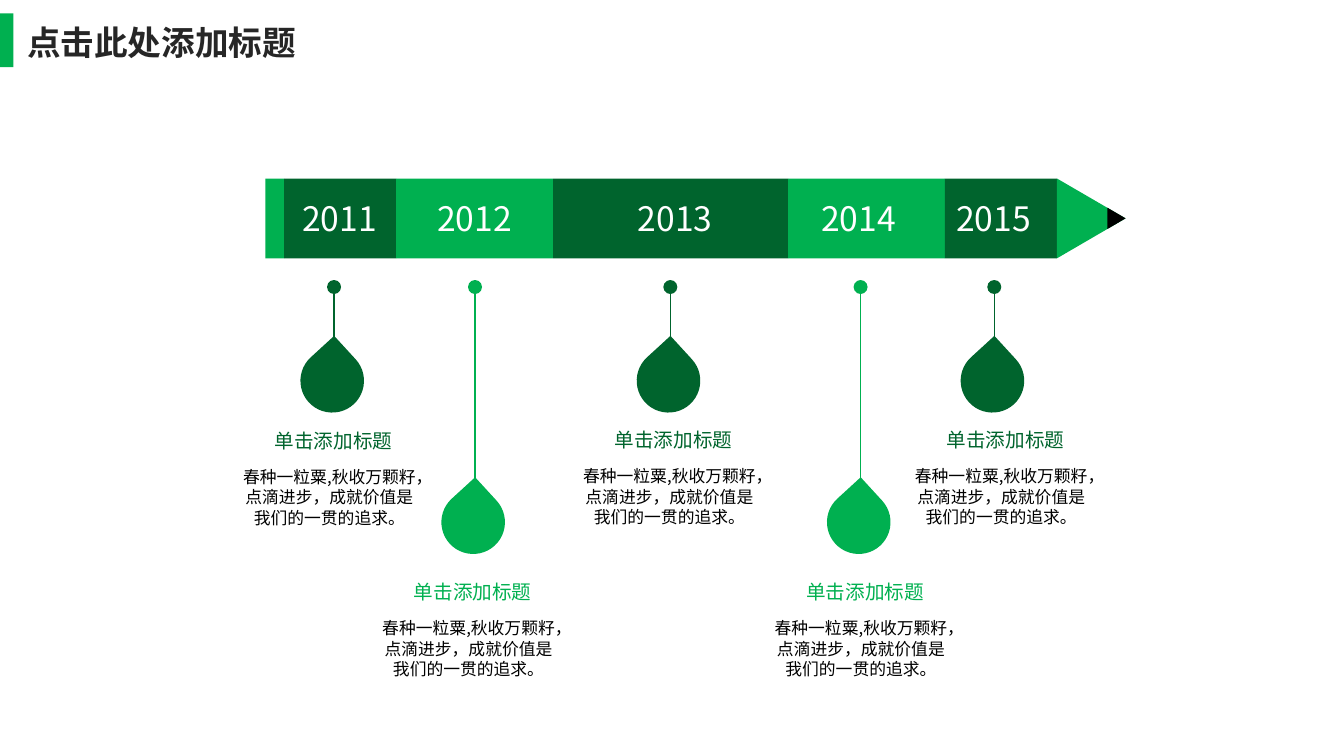
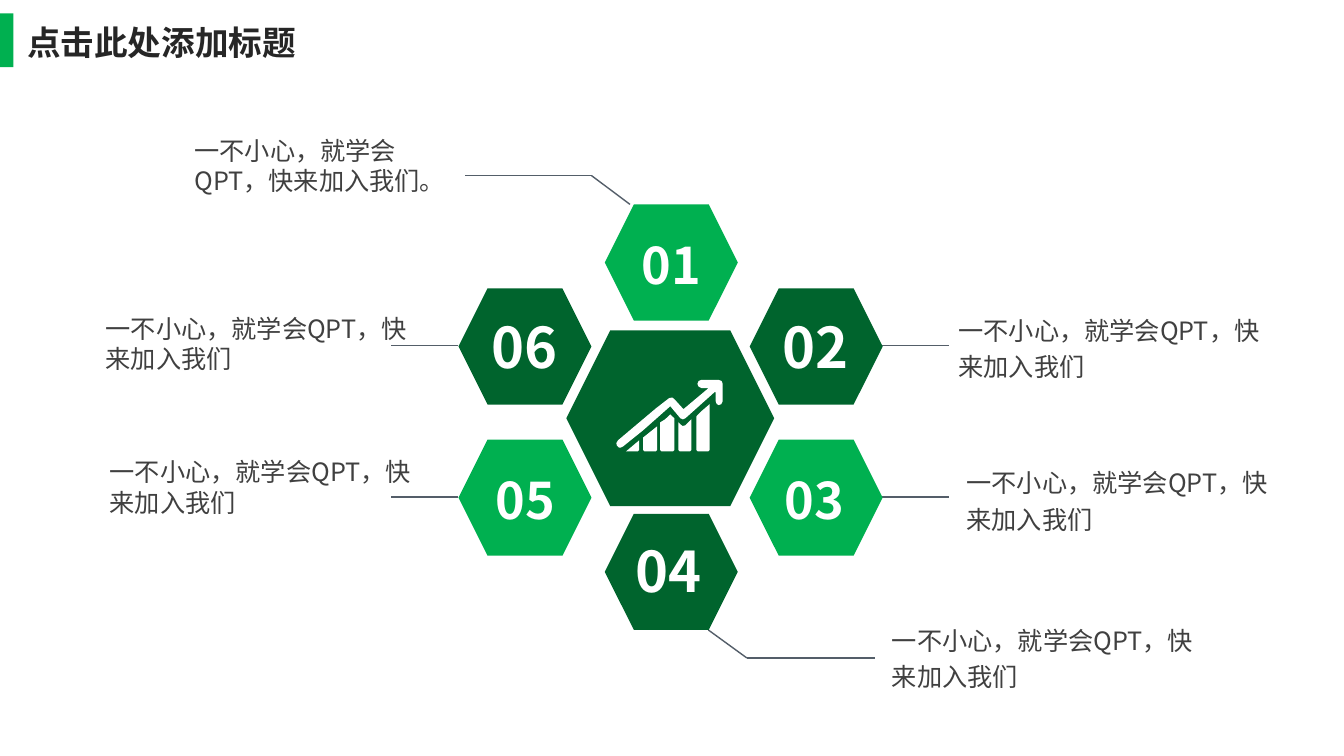
from itertools import pairwise

from lxml import etree
from pptx import Presentation
from pptx import util as u
from pptx.dml.color import RGBColor
from pptx.enum import shapes, text
from pptx.oxml.ns import qn

COLORS = {
    "light": "00B050",
    "dark": "00642D",
    "title": "262626",
    "note": "404040",
    "line": "545E69",
    "white": "FFFFFF",
    "black": "000000",
}
FONT = "Noto Sans CJK SC"
LEFT, CENTER = text.PP_ALIGN.LEFT, text.PP_ALIGN.CENTER
SHAPE = shapes.MSO_SHAPE
STRAIGHT = shapes.MSO_CONNECTOR.STRAIGHT


def paint(shape, color):
    """Give a shape a plain fill, or a connector a plain one-point line."""
    if shape.shape_type == shapes.MSO_SHAPE_TYPE.LINE:
        shape.line.width = u.Pt(1)
        shape.line.color.rgb = RGBColor.from_string(COLORS[color])
        etree.SubElement(shape._element.spPr, qn("a:effectLst"))
        return
    shape.shadow.inherit = False
    shape.fill.solid()
    shape.fill.fore_color.rgb = RGBColor.from_string(COLORS[color])
    shape.line.fill.background()


def write(shape, words, size, color, bold=False, align=LEFT, spacing=None):
    """Set the single paragraph of a text box or placeholder."""
    frame = shape.text_frame
    frame.text = words
    frame.word_wrap = True
    frame.auto_size = text.MSO_AUTO_SIZE.NONE
    frame.vertical_anchor = text.MSO_ANCHOR.TOP
    paragraph = frame.paragraphs[0]
    paragraph.alignment = align
    paragraph.line_spacing = spacing
    font = paragraph.runs[0].font
    font.name = FONT
    font.size = u.Pt(size)
    font.bold = bold
    font.color.rgb = RGBColor.from_string(COLORS[color])
    latin = font._element.find(qn("a:latin"))
    latin.addnext(latin.makeelement(qn("a:ea"), {"typeface": FONT}))


presentation = Presentation()
presentation.slide_width = u.Pt(960)
presentation.slide_height = u.Pt(540)

# Shared title and side band
for _ in range(2):
    slide = presentation.slides.add_slide(presentation.slide_layouts[5])
    title = slide.shapes.title
    title.left, title.top = u.Pt(12.2), u.Pt(12.2)
    title.width, title.height = u.Pt(209), u.Pt(36)
    write(title, "点击此处添加标题", 24, "title", bold=True)
    band = slide.shapes.add_shape(SHAPE.RECTANGLE, 0, u.Pt(9.5), u.Pt(9.5), u.Pt(38.5))
    paint(band, "light")
timeline, cluster = [slide.shapes for slide in presentation.slides]

# Slide 1: pencil body, from the end cap to the last year
PENCIL_TOP, PENCIL_HEIGHT = 127.5, 57
band_left = 189.5
for index, band_width in enumerate([13.5, 80, 112, 168, 112, 80]):
    band = timeline.add_shape(SHAPE.RECTANGLE, u.Pt(band_left), u.Pt(PENCIL_TOP),
                              u.Pt(band_width), u.Pt(PENCIL_HEIGHT))
    paint(band, "dark" if index % 2 else "light")
    band_left += band_width

# Pencil head, turned to point right, and its lead
HEAD_LENGTH = 49
turn_shift = (PENCIL_HEIGHT - HEAD_LENGTH) / 2
head = timeline.add_shape(SHAPE.ISOSCELES_TRIANGLE, u.Pt(band_left - turn_shift),
                          u.Pt(PENCIL_TOP + turn_shift),
                          u.Pt(PENCIL_HEIGHT), u.Pt(HEAD_LENGTH))
head.rotation = 90
paint(head, "light")
lead = timeline.build_freeform(7910, 1484, scale=u.Pt(0.1))
lead.add_line_segments([(8040, 1560), (7910, 1636)])
paint(lead.convert_to_shape(), "black")

# Years with their stems, drops and captions
milestones = [  # year, year left, stem x, caption centre, caption top
    ("2011", 208.8, 238.6, 238.3, 303),
    ("2012", 305.3, 339.3, 337.7, 411),
    ("2013", 448.6, 478.8, 481.2, 302.4),
    ("2014", 579.6, 614.7, 618, 411),
    ("2015", 676, 710.2, 718.2, 302.4),
]
DOT, DROP = 10, 45.4
for index, (year, year_left, stem_x, caption_x, caption_top) in enumerate(milestones):
    color, stem_end = ("light", 343.5) if index % 2 else ("dark", 242.5)
    year_box = timeline.add_textbox(u.Pt(year_left), u.Pt(137.5), u.Pt(78.5), u.Pt(36))
    write(year_box, year, 24, "white")

    dot = timeline.add_shape(SHAPE.FLOWCHART_CONNECTOR, u.Pt(stem_x - DOT / 2), u.Pt(200),
                             u.Pt(DOT), u.Pt(DOT))
    stem = timeline.add_connector(STRAIGHT, u.Pt(stem_x), u.Pt(204.5),
                                  u.Pt(stem_x), u.Pt(stem_end))
    drop = timeline.add_shape(SHAPE.TEAR, u.Pt(stem_x - 24), u.Pt(stem_end + 6.8),
                              u.Pt(DROP), u.Pt(DROP))
    drop.rotation = 317.5
    for shape in (dot, stem, drop):
        paint(shape, color)

    heading = timeline.add_textbox(u.Pt(caption_x - 52), u.Pt(caption_top),
                                   u.Pt(104), u.Pt(24.5))
    write(heading, "单击添加标题", 14, color, align=CENTER)
    body = timeline.add_textbox(u.Pt(caption_x - 73.2), u.Pt(caption_top + 27),
                                u.Pt(140.4), u.Pt(51))
    write(body, "春种一粒粟,秋收万颗籽，点滴进步，成就价值是我们的一贯的追求。",
          12, "black", align=CENTER)

# Slide 2: leader lines
leaders = [
    [(450, 146), (422.6, 125.5), (332, 125.5)],
    [(630, 247), (678, 247)],
    [(630, 355), (678, 355)],
    [(506, 450), (533.5, 470), (625, 470)],
    [(327.5, 355), (279.5, 355)],
    [(327.5, 247), (279.5, 247)],
]
for points in leaders:
    for (x1, y1), (x2, y2) in pairwise(points):
        leader = cluster.add_connector(STRAIGHT, u.Pt(x1), u.Pt(y1), u.Pt(x2), u.Pt(y2))
        paint(leader, "line")

# Numbered hexagons
hexagons = [  # left, top, number centre, number top
    (432, 146, 479.5, 155),
    (535.5, 206, 582.5, 219.6),
    (535.5, 314, 581.8, 322.6),
    (432, 367, 477.4, 380),
    (327.5, 314, 375, 322.6),
    (327.5, 206, 374.4, 219.6),
]
for number, (left, top, number_x, number_top) in enumerate(hexagons, start=1):
    color, size, spacing = ("light", 36, 1.2) if number % 2 else ("dark", 40, None)
    hexagon = cluster.add_shape(SHAPE.HEXAGON, u.Pt(left), u.Pt(top), u.Pt(95), u.Pt(83))
    paint(hexagon, color)
    number_box = cluster.add_textbox(u.Pt(number_x - 32.5), u.Pt(number_top),
                                     u.Pt(65), u.Pt(55.5))
    write(number_box, f"{number:02}", size, "white", bold=True, align=CENTER, spacing=spacing)

# Notes
NOTE = "一不小心，就学会QPT，快来加入我们"
notes = [  # words, left, top, width, line spacing
    (NOTE + "。", 131.8, 93, 210, None),
    (NOTE, 677.5, 217.5, 231, 1.2),
    (NOTE, 683.3, 326.2, 231, 1.2),
    (NOTE, 630, 438.5, 231, 1.2),
    (NOTE, 71.3, 322.6, 231, None),
    (NOTE, 68.4, 220.3, 231, None),
]
for words, left, top, width, spacing in notes:
    note = cluster.add_textbox(u.Pt(left), u.Pt(top), u.Pt(width), u.Pt(54))
    write(note, words, 18, "note", spacing=spacing)

# Central hexagon
center = cluster.add_shape(SHAPE.HEXAGON, u.Pt(404.5), u.Pt(236), u.Pt(148.5), u.Pt(125.5))
paint(center, "dark")

# Growth icon: bars cut along the trend, then the trend arrow
BASE, CORNER = 322.5, 1
bar_tops = [
    [(459.4, 312.5), (469.4, 304.5)],
    [(471.6, 301.7), (475.2, 299.5), (478.8, 296), (481.7, 298.8)],
    [(484.6, 301.7), (486, 303.1), (487.6, 304.3), (489.6, 303.8), (493.9, 299.5)],
    [(497.5, 297.4), (501, 293.8), (506.9, 288.7)],
]
outlines = [[(456.5, 314.6), (447.1, BASE), (455.5, BASE), (456.5, BASE - CORNER)]]
for bar_top in bar_tops:
    left, right = bar_top[0][0], bar_top[-1][0]
    outlines.append(bar_top + [(right, BASE - CORNER), (right - CORNER, BASE),
                               (left + CORNER, BASE), (left, BASE - CORNER)])
outlines.append([
    (516.2, 274.3), (515.5, 272.2), (513.4, 271.4), (501, 271.4), (499, 272.2),
    (498.2, 274.3), (499, 276.2), (501, 277.2), (506.2, 277.2), (488.2, 292.3),
    (481.7, 285.1), (480.2, 284), (478, 284.4), (468.7, 291.6), (441.4, 314.6),
    (440.3, 316.5), (440.6, 318.2), (442.1, 319.7), (443.5, 319.7), (445, 319),
    (459.4, 307.4), (478.8, 290.2), (486, 298.8), (487.8, 299.6), (489.6, 298.8),
    (510.5, 280.1), (511.2, 280.1), (511.2, 286.6), (512, 288.7), (513.4, 289.4),
    (515.2, 288.8), (516.2, 286.6),
])
for outline in outlines:
    start, *rest = [(round(x * 10), round(y * 10)) for x, y in outline]
    builder = cluster.build_freeform(*start, scale=u.Pt(0.1))
    builder.add_line_segments(rest)
    paint(builder.convert_to_shape(), "white")

presentation.save("out.pptx")
